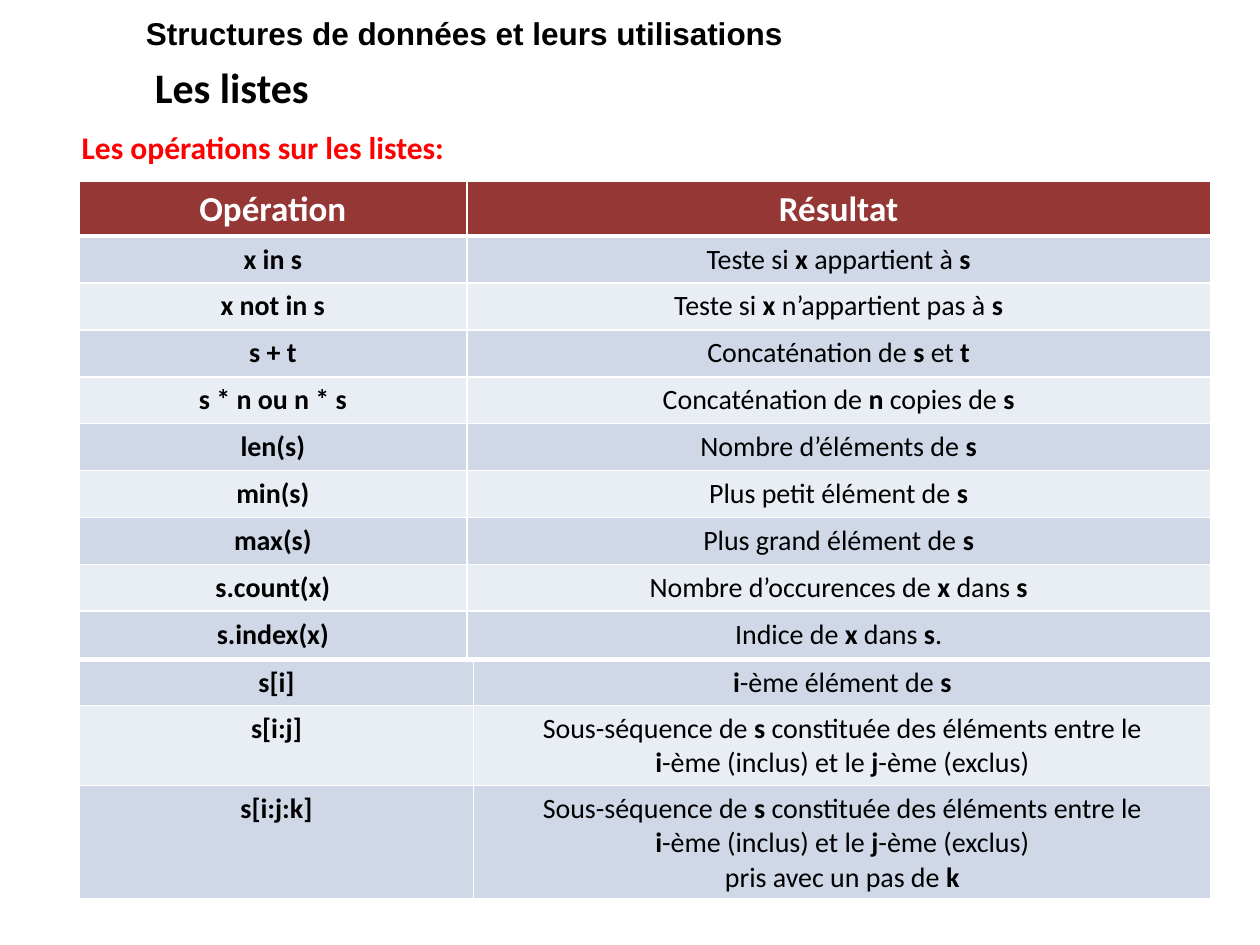
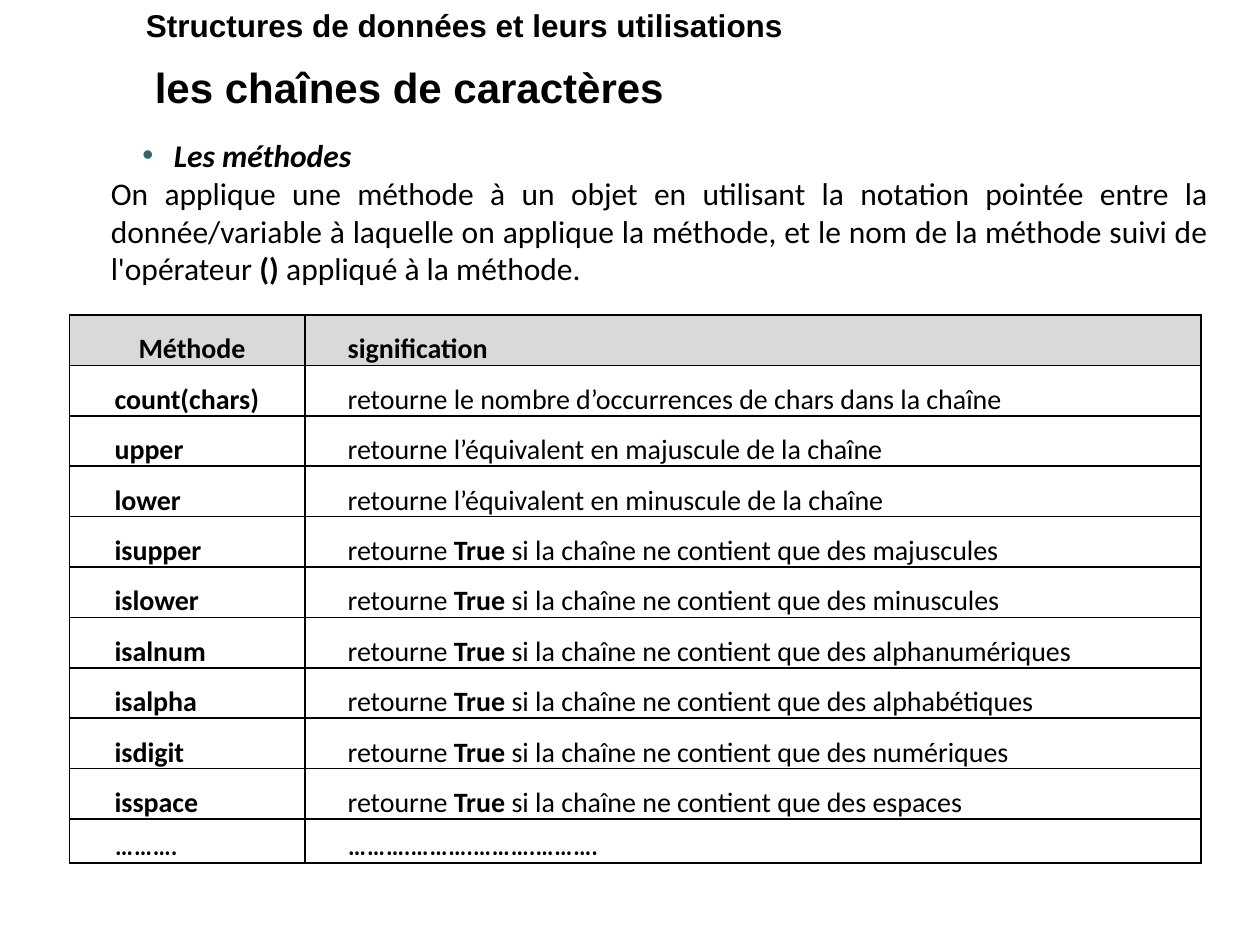
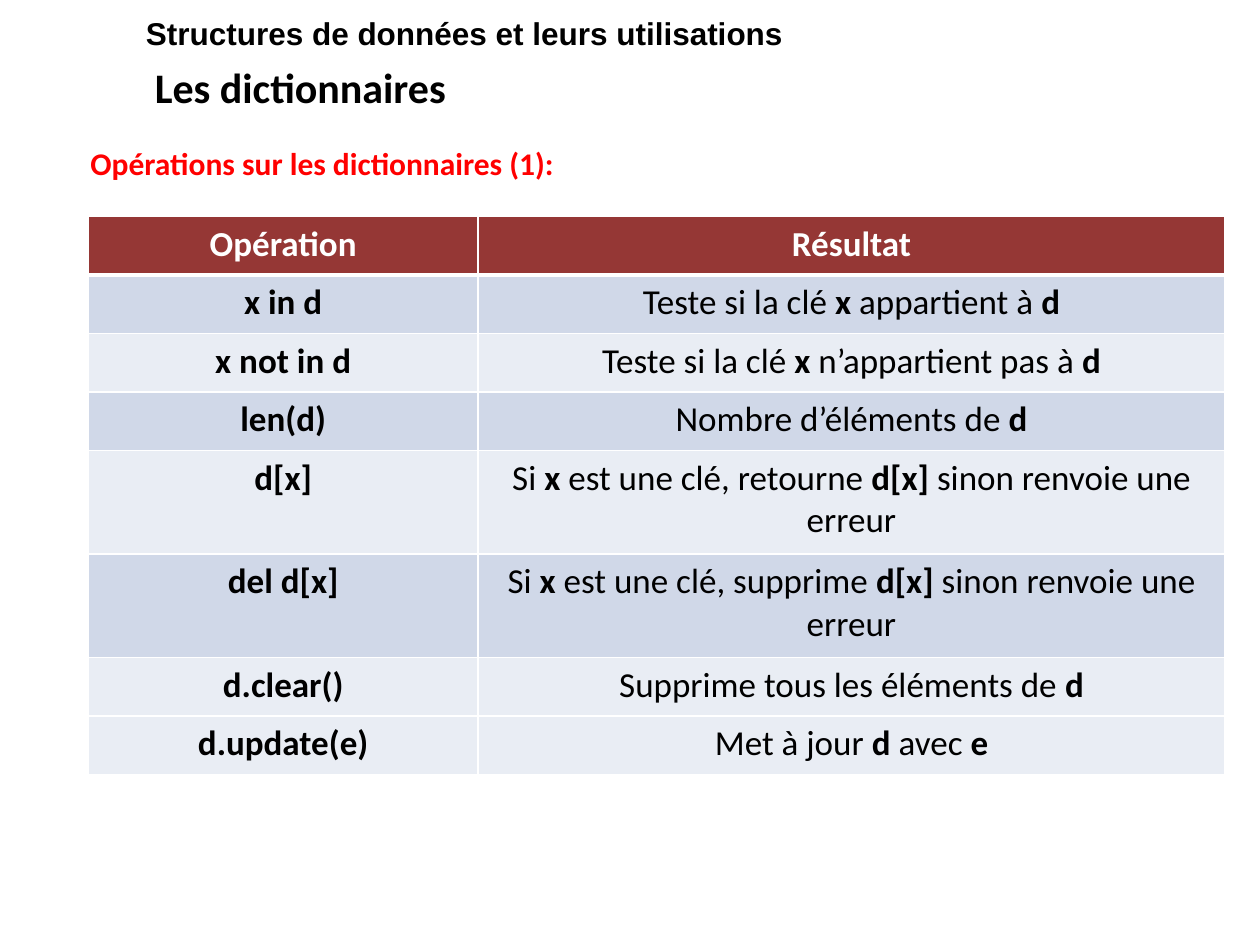
from itertools import cycle

from lxml.etree import SubElement
from pptx import Presentation
from pptx.dml.color import RGBColor
from pptx.enum.text import MSO_ANCHOR, PP_ALIGN
from pptx.oxml.ns import qn
from pptx.util import Pt

BLACK = RGBColor(0x00, 0x00, 0x00)
WHITE = RGBColor(0xFF, 0xFF, 0xFF)
RED = RGBColor(0xFF, 0x00, 0x00)
TEAL = RGBColor(0x33, 0x66, 0x66)
BRICK = RGBColor(0x95, 0x37, 0x35)
BLUE_BAND = RGBColor(0xD0, 0xD8, 0xE8)
PALE_BAND = RGBColor(0xE9, 0xED, 0xF4)
GREY = RGBColor(0xD9, 0xD9, 0xD9)

COURSE = "Structures de données et leurs utilisations"
HEADINGS = ("Opération", "Résultat")


class Deck:
    body_font = "Calibri"

    def __init__(self):
        self.presentation = Presentation()
        self.presentation.slide_width = Pt(720)
        self.presentation.slide_height = Pt(540)

    def new_slide(self, chapter, course_top=4.3, chapter_font=body_font):
        layout = self.presentation.slide_layouts[6]
        self.slide = self.presentation.slides.add_slide(layout)
        course = self.box(76.3, course_top, 643.7, 29)
        self.fill_text(course.paragraphs[0], COURSE, 18, bold=True, font="Arial")
        heading = self.box(81.4, 31.7, 638.6, 35.3)
        heading.vertical_anchor = MSO_ANCHOR.MIDDLE
        self.fill_text(heading.paragraphs[0], chapter, 24, bold=True,
                       font=chapter_font)

    def box(self, left, top, width, height, wrap=True):
        frame = self.slide.shapes.add_textbox(
            Pt(left), Pt(top), Pt(width), Pt(height)).text_frame
        frame.word_wrap = wrap
        return frame

    def subtitle(self, text, left, top, width, wrap=True):
        frame = self.box(left, top, width, 31.7, wrap)
        self.fill_text(frame.paragraphs[0], text, 18, RED, bold=True)

    def fill_text(self, paragraph, text, size, color=BLACK, bold=False,
                  font=body_font, align=PP_ALIGN.LEFT, italic=False):
        """Fill a paragraph; text between bars takes the opposite weight."""
        parts = text.split("|")
        paragraph.alignment = align
        paragraph.font.name = font
        paragraph.font.size = Pt(size)
        paragraph.font.color.rgb = color
        paragraph.font.italic = italic
        if len(parts) == 1:
            paragraph.font.bold = bold
        for number, part in enumerate(parts):
            if part:
                run = paragraph.add_run()
                run.text = part
                if len(parts) > 1:
                    run.font.bold = bold != bool(number % 2)

    def indent(self, paragraph, left, first):
        properties = paragraph._p.get_or_add_pPr()
        properties.set("marL", str(Pt(left)))
        properties.set("indent", str(Pt(first)))
        return properties

    def bullet(self, paragraph):
        properties = self.indent(paragraph, 36, -18)
        color = SubElement(properties, qn("a:buClr"))
        SubElement(color, qn("a:srgbClr"), val=str(TEAL))
        SubElement(properties, qn("a:buFont"), typeface="Arial")
        SubElement(properties, qn("a:buChar"), char="•")

    def table(self, left, top, widths, heights):
        grid = self.slide.shapes.add_table(
            len(heights), len(widths), Pt(left), Pt(top),
            Pt(sum(widths)), Pt(sum(heights))).table
        grid.first_row = grid.horz_banding = False
        for column, width in zip(grid.columns, widths):
            column.width = Pt(width)
        for row, height in zip(grid.rows, heights):
            row.height = Pt(height)
        return grid

    def style_cell(self, cell, fill, line, margins, top=1, bottom=1):
        properties = cell._tc.get_or_add_tcPr()
        for side, weight in zip("LRTB", (1, 1, top, bottom)):
            border = SubElement(properties, qn(f"a:ln{side}"), w=str(Pt(weight)))
            paint = SubElement(border, qn("a:solidFill"))
            SubElement(paint, qn("a:srgbClr"), val=str(line))
        cell.fill.solid()
        cell.fill.fore_color.rgb = fill
        cell.margin_left = cell.margin_right = Pt(margins[0])
        cell.margin_top = cell.margin_bottom = Pt(margins[1])

    def operations(self, left, top, widths, heights, rows, size,
                   headed=True, bands=(BLUE_BAND, PALE_BAND)):
        """Banded table of operations, with a thick line over the first band."""
        grid = self.table(left, top, widths, heights)
        fills = cycle(bands)
        first_band = 1 if headed else 0
        for r, texts in enumerate([HEADINGS] * headed + rows):
            header = r < first_band
            fill = BRICK if header else next(fills)
            for c, text in enumerate(texts):
                cell = grid.cell(r, c)
                self.style_cell(cell, fill, WHITE, (7.2, 3.6),
                                top=3 if r == first_band else 1,
                                bottom=3 if header else 1)
                for n, line in enumerate(text.split("\n")):
                    frame = cell.text_frame
                    paragraph = frame.add_paragraph() if n else frame.paragraphs[0]
                    self.fill_text(paragraph, line, 20 if header else size,
                                   WHITE if header else BLACK,
                                   bold=header or c == 0, align=PP_ALIGN.CENTER)

    def methods(self, left, top, widths, heights, rows):
        """Ruled table of methods, with a grey heading and a dotted last row."""
        grid = self.table(left, top, widths, heights)
        for r, texts in enumerate(rows):
            header, dotted = r == 0, r == len(rows) - 1
            for c, text in enumerate(texts):
                cell = grid.cell(r, c)
                self.style_cell(cell, GREY if header else WHITE, BLACK, (5, 0))
                paragraph = cell.text_frame.paragraphs[0]
                self.indent(paragraph, 2.2 if c else 17.3 if header else 3.6, 17.3)
                paragraph.line_spacing = 1.5
                self.fill_text(paragraph, text, 14 if dotted else 16,
                               bold=header or dotted or c == 0,
                               font="Cambria" if dotted else self.body_font,
                               align=PP_ALIGN.JUSTIFY)


def main():
    deck = Deck()

    # Lists
    deck.new_slide("Les listes")
    deck.subtitle("Les opérations sur les listes:", 39.6, 69.8, 646.6)
    deck.operations(45, 103.7, (221.8, 424.8), [31] + [26.8] * 9, [
        ("x in s", "Teste si |x| appartient à |s|"),
        ("x not in s", "Teste si |x| n’appartient pas à |s|"),
        ("s + t", "Concaténation de |s| et |t|"),
        ("s * n ou n * s", "Concaténation de |n| copies de |s|"),
        ("len(s)", "Nombre d’éléments de |s|"),
        ("min(s)", "Plus petit élément de |s|"),
        ("max(s)", "Plus grand élément de |s|"),
        ("s.count(x)", "Nombre d’occurences de |x| dans |s|"),
        ("s.index(x)", "Indice de |x| dans |s|."),
    ], 16)
    slice_text = ("Sous-séquence de |s| constituée des éléments entre le\n"
                  "|i|-ème (inclus) et le |j|-ème (exclus)")
    deck.operations(45.3, 376.7, (225.4, 421.2), (26.6, 45.4, 64.8), [
        ("s[i]", "|i|-ème élément de |s|"),
        ("s[i:j]", slice_text),
        ("s[i:j:k]", slice_text + "\npris avec un pas de |k|"),
    ], 16, headed=False)

    # Strings
    deck.new_slide("les chaînes de caractères", course_top=0, chapter_font="Arial")
    explanation = deck.box(56.2, 74.2, 641.5, 170.6)
    topic = explanation.paragraphs[0]
    deck.bullet(topic)
    deck.fill_text(topic, "Les méthodes", 18, bold=True, italic=True,
                   align=PP_ALIGN.JUSTIFY)
    deck.fill_text(explanation.add_paragraph(),
                   "On applique une méthode à un objet en utilisant la notation "
                   "pointée entre la donnée/variable à laquelle on applique la "
                   "méthode, et le nom de la méthode suivi de l'opérateur |() |"
                   "appliqué à la méthode.",
                   18, align=PP_ALIGN.JUSTIFY)
    tests = [(f"is{name}", f"retourne |True| si la chaîne ne contient que des {kind}")
             for name, kind in (("upper", "majuscules"), ("lower", "minuscules"),
                                ("alnum", "alphanumériques"),
                                ("alpha", "alphabétiques"),
                                ("digit", "numériques"), ("space", "espaces"))]
    deck.methods(39.6, 180, (134.6, 512), [28.8] * 10 + [25.2], [
        ("Méthode", "signification"),
        ("count(chars)", "retourne le nombre d’occurrences de chars dans la chaîne"),
        ("upper", "retourne l’équivalent en majuscule de la chaîne"),
        ("lower", "retourne l’équivalent en minuscule de la chaîne"),
        *tests,
        ("……….", "……….……….……….………."),
    ])

    # Dictionaries
    deck.new_slide("Les dictionnaires")
    deck.subtitle("Opérations sur les dictionnaires (1):", 44.6, 78.5, 359.3, wrap=False)
    deck.operations(50.6, 123.8, (222.5, 427), [33.4] * 4 + [59.2] * 2 + [33.4] * 2, [
        ("x in d", "Teste si la clé |x| appartient à |d|"),
        ("x not in d", "Teste si la clé |x| n’appartient pas à |d|"),
        ("len(d)", "Nombre d’éléments de |d|"),
        ("d[x]", "Si |x| est une clé, retourne |d[x]| sinon renvoie une erreur"),
        ("del d[x]", "Si |x| est une clé, supprime |d[x]| sinon renvoie une erreur"),
        ("d.clear()", "Supprime tous les éléments de |d|"),
        ("d.update(e)", "Met à jour |d| avec |e|"),
    ], 20, bands=[BLUE_BAND, PALE_BAND] * 3 + [PALE_BAND])

    deck.presentation.save("out.pptx")


if __name__ == "__main__":
    main()
